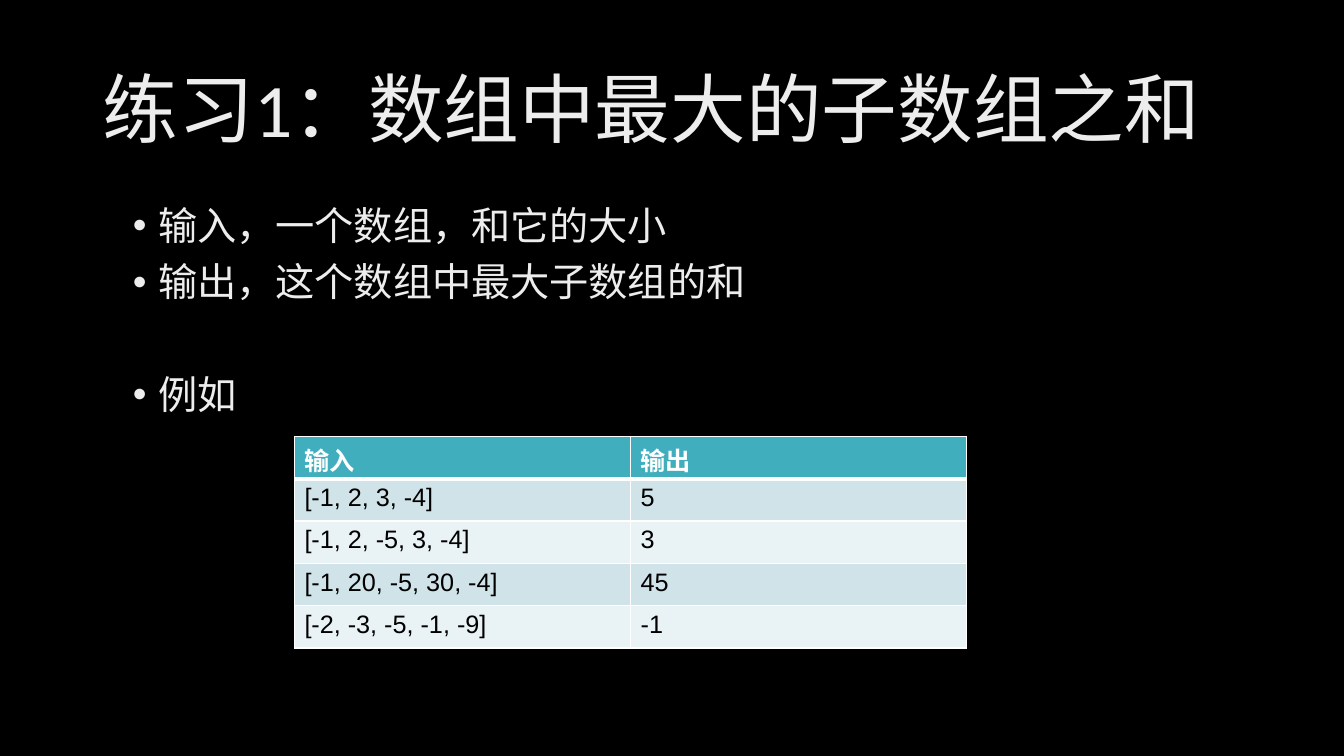
from dataclasses import dataclass

from lxml import etree
from pptx import Presentation
from pptx.dml.color import RGBColor
from pptx.enum import text as t
from pptx.oxml import ns
from pptx.util import Inches, Pt


@dataclass(frozen=True)
class Theme:
    background: str = "000000"
    text: str = "EDEDED"
    header: str = "41AEBD"
    bands: tuple = ("CFE3E8", "E9F2F4")
    header_text: str = "FFFFFF"
    cell_text: str = "000000"
    border: str = "FFFFFF"
    heading_font: str = "Calibri"
    table_font: str = "Arial"
    title_size: int = 54
    body_size: int = 28
    table_size: int = 18


THEME = Theme()
TITLE = "练习1：数组中最大的子数组之和"
# Each bullet with its space before, in points; the example starts a new group
BULLETS = [
    ("输入，一个数组，和它的大小", 0),
    ("输出，这个数组中最大子数组的和", 10),
    ("例如", 50),
]
EXAMPLES = [
    ("输入", "输出"),
    ("[-1, 2, 3, -4]", "5"),
    ("[-1, 2, -5, 3, -4]", "3"),
    ("[-1, 20, -5, 30, -4]", "45"),
    ("[-2, -3, -5, -1, -9]", "-1"),
]


def format_runs(p, font, size, color, bold=False):
    for r in p.runs:
        r.font.name = font
        r.font.size = Pt(size)
        r.font.bold = bold
        r.font.color.rgb = RGBColor.from_string(color)


def add_bullet(p):
    pPr = p._p.get_or_add_pPr()
    pPr.set("marL", str(Inches(0.25)))
    pPr.set("indent", str(-Inches(0.25)))
    etree.SubElement(pPr, ns.qn("a:buFont"), typeface="Arial")
    etree.SubElement(pPr, ns.qn("a:buChar"), char="•")


def set_borders(cell, top, bottom):
    """Draw all four cell edges; top and bottom are widths in points."""
    tcPr = cell._tc.get_or_add_tcPr()
    for edge, width in (("lnL", 1), ("lnR", 1), ("lnT", top), ("lnB", bottom)):
        ln = etree.SubElement(tcPr, ns.qn(f"a:{edge}"), w=str(Pt(width)))
        fill = etree.SubElement(ln, ns.qn("a:solidFill"))
        etree.SubElement(fill, ns.qn("a:srgbClr"), val=THEME.border)


def place_title(s, left, top, width, height):
    title = s.shapes.title
    title.left, title.top, title.width, title.height = left, top, width, height
    tf = title.text_frame
    tf.text = TITLE
    tf.word_wrap = True
    tf.auto_size = t.MSO_AUTO_SIZE.NONE
    tf.vertical_anchor = t.MSO_ANCHOR.MIDDLE
    p = tf.paragraphs[0]
    p.alignment = t.PP_ALIGN.LEFT
    p.line_spacing = 0.9
    format_runs(p, THEME.heading_font, THEME.title_size, THEME.text)


def add_bullets(s, left, top, width, height):
    tf = s.shapes.add_textbox(left, top, width, height).text_frame
    tf.word_wrap = True
    tf.text = "\n".join(line for line, _ in BULLETS)
    for p, (_, space) in zip(tf.paragraphs, BULLETS):
        add_bullet(p)
        p.line_spacing = 0.9
        p.space_before = Pt(space)
        format_runs(p, THEME.heading_font, THEME.body_size, THEME.text)


def add_examples(s, left, top, width, height):
    rows, cols = len(EXAMPLES), len(EXAMPLES[0])
    table = s.shapes.add_table(rows, cols, left, top, width, height).table
    for i, values in enumerate(EXAMPLES):
        header = i == 0
        fill = THEME.header if header else THEME.bands[(i - 1) % 2]
        color = THEME.header_text if header else THEME.cell_text
        for j, value in enumerate(values):
            cell = table.cell(i, j)
            cell.text = value
            set_borders(cell, top=3 if i == 1 else 1, bottom=3 if header else 1)
            cell.fill.solid()
            cell.fill.fore_color.rgb = RGBColor.from_string(fill)
            format_runs(cell.text_frame.paragraphs[0], THEME.table_font,
                        THEME.table_size, color, bold=header)


def main():
    prs = Presentation()
    prs.slide_width, prs.slide_height = Inches(13.33), Inches(7.5)
    s = prs.slides.add_slide(prs.slide_layouts.get_by_name("Title Only"))
    s.background.fill.solid()
    s.background.fill.fore_color.rgb = RGBColor.from_string(THEME.background)
    place_title(s, Inches(0.92), Inches(0.4), Inches(11.5), Inches(1.45))
    add_bullets(s, Inches(1.22), Inches(2), Inches(11.19), Inches(4.76))
    add_examples(s, Inches(2.92), Inches(4.33), Inches(6.67), Inches(2.1))
    prs.save("out.pptx")


if __name__ == "__main__":
    main()
